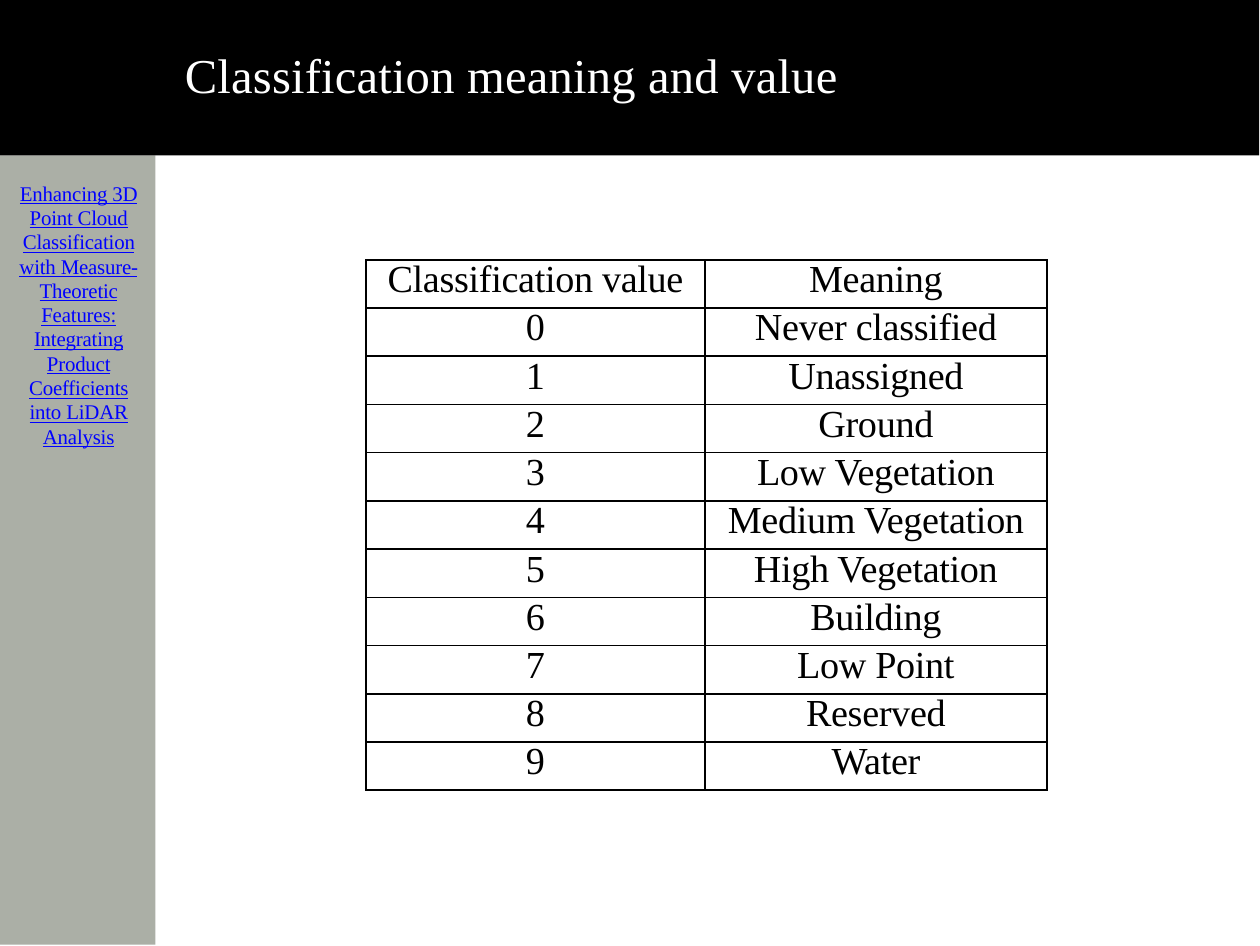
from lxml import etree
from pptx import Presentation
from pptx.dml.color import RGBColor
from pptx.enum.shapes import MSO_SHAPE
from pptx.enum.text import PP_ALIGN
from pptx.oxml.ns import qn
from pptx.util import Cm, Pt

RECTANGLE = MSO_SHAPE.RECTANGLE
LEFT, CENTER = PP_ALIGN.LEFT, PP_ALIGN.CENTER

FONT = "Times New Roman"
COLORS = {
    "banner": "000000",
    "sidebar": "ABAFA6",
    "title": "FFFFFF",
    "link": "0000FF",
    "ink": "000000",
}
PAGE_POINTS = (363, 272.5)
WIDTH, HEIGHT = 12.8, 9.6
BAND = 1.58

TITLE = "Classification meaning and value"
PAPER = (
    "Enhancing 3D Point Cloud Classification with Measure-Theoretic Features: "
    "Integrating Product Coefficients into LiDAR Analysis"
)
HEADINGS = ("Classification value", "Meaning")
MEANINGS = (
    "Never classified", "Unassigned", "Ground", "Low Vegetation",
    "Medium Vegetation", "High Vegetation", "Building", "Low Point",
    "Reserved", "Water",
)
COLUMN_SHARES = (0.498, 0.502)


def color(name):
    return RGBColor.from_string(COLORS[name])


def write(frame, text, *, size, ink, align=LEFT, leading=None, spacing=0,
          underline=False):
    """Put one formatted paragraph in a text frame; spacing is in points."""
    frame.word_wrap = True
    para = frame.paragraphs[0]
    para.alignment = align
    if leading:
        para.line_spacing = Pt(leading)
    span = para.add_run()
    span.text = text
    span.font.name = FONT
    span.font.size = Pt(size)
    span.font.color.rgb = color(ink)
    if underline:
        span.font.underline = True
    if spacing:
        span.font._element.set("spc", str(round(spacing * 100)))


def add_panel(page, box, fill):
    panel = page.shapes.add_shape(RECTANGLE, *map(Cm, box))
    panel.shadow.inherit = False
    panel.fill.solid()
    panel.fill.fore_color.rgb = color(fill)
    panel.line.fill.background()


def add_text(page, box, text, *, inset_top, **text_format):
    frame = page.shapes.add_textbox(*map(Cm, box)).text_frame
    frame.margin_left = frame.margin_right = frame.margin_bottom = 0
    frame.margin_top = Cm(inset_top)
    write(frame, text, **text_format)


def add_sidebar(page, box):
    left, top, width, height = box
    add_panel(page, box, "sidebar")
    add_text(page, (left + 0.15, top + 0.21, width - 0.28, 2.8), PAPER,
             inset_top=0.05, size=6, ink="link", align=CENTER, leading=7,
             spacing=-0.05, underline=True)


def add_banner(page, box):
    left, top, width, height = box
    add_panel(page, box, "banner")
    add_text(page, (left + 1.88, top + 0.1, width - 2.54, height - 0.26), TITLE,
             inset_top=0.36, size=14, ink="title", spacing=0.06)


def outline_cell(cell):
    properties = cell._tc.get_or_add_tcPr()
    for position, side in enumerate(("a:lnL", "a:lnR", "a:lnT", "a:lnB")):
        line = etree.Element(qn(side), w=str(Pt(0.5)))
        fill = etree.SubElement(line, qn("a:solidFill"))
        etree.SubElement(fill, qn("a:srgbClr"), val=COLORS["ink"])
        properties.insert(position, line)


def add_class_table(page, box):
    rows = [HEADINGS, *((str(value), meaning)
                        for value, meaning in enumerate(MEANINGS))]
    left, top, width, height = box
    table = page.shapes.add_table(len(rows), len(HEADINGS), *map(Cm, box)).table
    table.first_row = table.horz_banding = False
    for column, share in zip(table.columns, COLUMN_SHARES):
        column.width = Cm(width * share)
    for row, texts in zip(table.rows, rows):
        row.height = Cm(height / len(rows))
        for cell, text in zip(row.cells, texts):
            cell.margin_left = cell.margin_right = 0
            cell.margin_top = cell.margin_bottom = 0
            cell.fill.background()
            outline_cell(cell)
            write(cell.text_frame, text, size=11, ink="ink", align=CENTER,
                  leading=11.9, spacing=-0.1)


def main():
    deck = Presentation()
    deck.slide_width, deck.slide_height = map(Pt, PAGE_POINTS)
    page = deck.slides.add_slide(deck.slide_layouts[6])
    add_sidebar(page, (0, BAND, BAND, HEIGHT - BAND))
    add_banner(page, (0, 0, WIDTH, BAND))
    add_class_table(page, (3.72, 2.64, 6.92, 5.39))
    deck.save("out.pptx")


if __name__ == "__main__":
    main()
